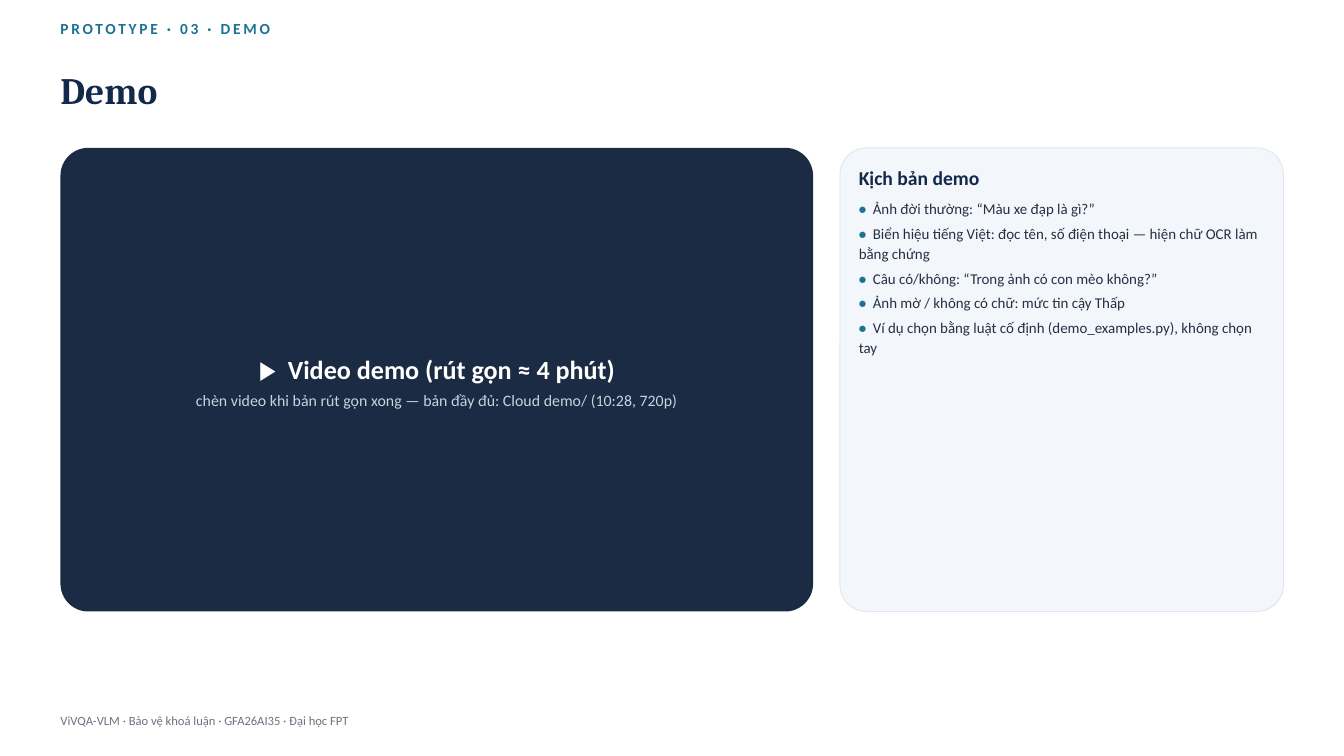
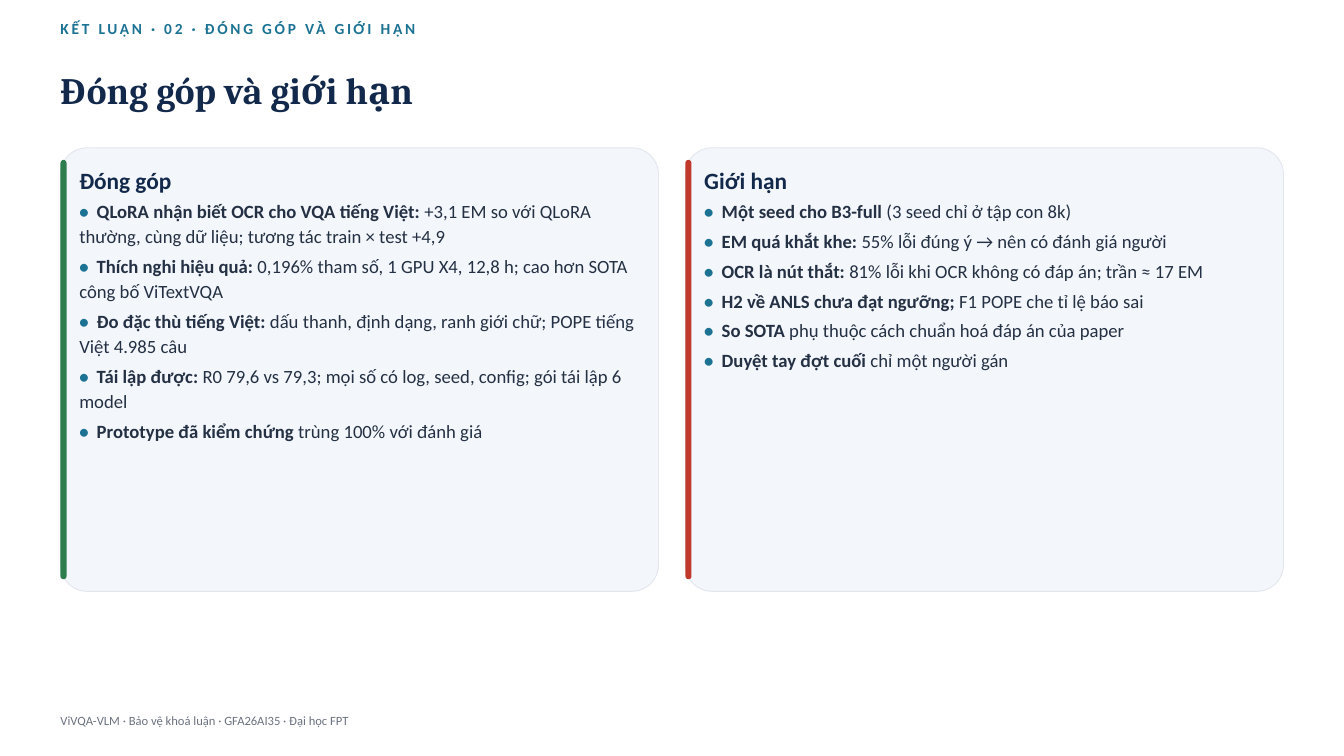
from lxml.etree import SubElement
from pptx import Presentation
from pptx.dml.color import RGBColor
from pptx.enum.shapes import MSO_SHAPE as SHAPE
from pptx.enum.text import MSO_ANCHOR as ANCHOR, MSO_AUTO_SIZE as AUTO, PP_ALIGN as ALIGN
from pptx.oxml.ns import qn
from pptx.util import Pt

PX = 9144  # 100 px to the inch
SLIDE_W, SLIDE_H = 2000, 1125
MARGIN, TOP, GAP = 90, 220, 40
CONTENT_W = SLIDE_W - 2 * MARGIN
PAD = 28

NAVY, TEAL, INK, GREY = "13294B", "1C7293", "243044", "6B7280"
WHITE, PANEL, EDGE = "FFFFFF", "F3F6FA", "E2E7EE"
SCREEN, MIST, GREEN, RED = "1B2B44", "C9D3DD", "2E7D4F", "C0392B"

FOOTER = "ViVQA-VLM · Bảo vệ khoá luận · GFA26AI35 · Đại học FPT"

DEMO = {
    "kicker": "PROTOTYPE · 03 · DEMO",
    "title": "Demo",
    "video": "▶  Video demo (rút gọn ≈ 4 phút)",
    "note": "chèn video khi bản rút gọn xong — bản đầy đủ: Cloud demo/ (10:28, 720p)",
    "script_title": "Kịch bản demo",
    "script": [
        ("", "Ảnh đời thường: “Màu xe đạp là gì?”"),
        ("", "Biển hiệu tiếng Việt: đọc tên, số điện thoại — hiện chữ OCR làm bằng chứng"),
        ("", "Câu có/không: “Trong ảnh có con mèo không?”"),
        ("", "Ảnh mờ / không có chữ: mức tin cậy Thấp"),
        ("", "Ví dụ chọn bằng luật cố định (demo_examples.py), không chọn tay"),
    ],
}

CONCLUSION = {
    "kicker": "KẾT LUẬN · 02 · ĐÓNG GÓP VÀ GIỚI HẠN",
    "title": "Đóng góp và giới hạn",
    "cards": [
        ("Đóng góp", GREEN, [
            ("QLoRA nhận biết OCR cho VQA tiếng Việt: ",
             "+3,1 EM so với QLoRA thường, cùng dữ liệu; tương tác train × test +4,9"),
            ("Thích nghi hiệu quả: ",
             "0,196% tham số, 1 GPU X4, 12,8 h; cao hơn SOTA công bố ViTextVQA"),
            ("Đo đặc thù tiếng Việt: ",
             "dấu thanh, định dạng, ranh giới chữ; POPE tiếng Việt 4.985 câu"),
            ("Tái lập được: ",
             "R0 79,6 vs 79,3; mọi số có log, seed, config; gói tái lập 6 model"),
            ("Prototype đã kiểm chứng ", "trùng 100% với đánh giá"),
        ]),
        ("Giới hạn", RED, [
            ("Một seed cho B3-full ", "(3 seed chỉ ở tập con 8k)"),
            ("EM quá khắt khe: ", "55% lỗi đúng ý → nên có đánh giá người"),
            ("OCR là nút thắt: ", "81% lỗi khi OCR không có đáp án; trần ≈ 17 EM"),
            ("H2 về ANLS chưa đạt ngưỡng; ", "F1 POPE che tỉ lệ báo sai"),
            ("So SOTA ", "phụ thuộc cách chuẩn hoá đáp án của paper"),
            ("Duyệt tay đợt cuối ", "chỉ một người gán"),
        ]),
    ],
}


def rgb(color):
    return RGBColor.from_string(color)


def emu(*lengths):
    return [n * PX for n in lengths]


def fmt(size, color, bold=False, name="Calibri"):
    return {"size": Pt(size), "color": color, "bold": bold, "name": name}


def add_run(p, text, style):
    r = p.add_run()
    r.text = text
    for key, value in style.items():
        if key == "color":
            r.font.color.rgb = rgb(value)
        else:
            setattr(r.font, key, value)
    return r


def add_text(slide, box, paragraphs, leading=1.12, after=4, align=None, anchor=ANCHOR.TOP, tab=None):
    """Each paragraph is a list of (text, style) runs."""
    tf = slide.shapes.add_textbox(*emu(*box)).text_frame
    frame = {"word_wrap": True, "auto_size": AUTO.SHAPE_TO_FIT_TEXT, "vertical_anchor": anchor,
             "margin_left": 0, "margin_right": 0, "margin_top": 0, "margin_bottom": 0}
    for key, value in frame.items():
        setattr(tf, key, value)
    for i, runs in enumerate(paragraphs):
        p = tf.paragraphs[0] if i == 0 else tf.add_paragraph()
        p.line_spacing, p.space_after, p.alignment = leading, Pt(after), align
        if tab:
            stops = SubElement(p._p.get_or_add_pPr(), qn("a:tabLst"))
            SubElement(stops, qn("a:tab"), pos=str(tab * PX), algn="l")
        for text, style in runs:
            add_run(p, text, style)
    return tf


def add_round(slide, box, fill, line=None, adj=0.06):
    sp = slide.shapes.add_shape(SHAPE.ROUNDED_RECTANGLE, *emu(*box))
    sp.shadow.inherit = False
    sp.adjustments[0] = adj
    sp.fill.solid()
    sp.fill.fore_color.rgb = rgb(fill)
    if line:
        sp.line.color.rgb = rgb(line)
        sp.line.width = Pt(1)
    else:
        sp.line.fill.background()


def add_card(slide, x, w, h, title, items, size, accent=None):
    add_round(slide, (x, TOP, w, h), PANEL, EDGE)
    if accent:
        add_round(slide, (x, TOP + 18, 9, h - 36), accent, adj=0.5)
    left, inner = x + PAD, w - 2 * PAD
    add_text(slide, (left, TOP + 22, inner, 60), [[(title, fmt(size + 5, NAVY, True))]])
    paragraphs = [
        [("•\t", fmt(size, TEAL, True))]
        + ([(lead, fmt(size, INK, True))] if lead else [])
        + [(text, fmt(size, INK))]
        for lead, text in items
    ]
    add_text(slide, (left, TOP + 74, inner, h - 84), paragraphs, after=5, tab=round(size * 1.32))


def add_page(prs, content):
    """Blank slide with the shared kicker, title and footer."""
    slide = prs.slides.add_slide(prs.slide_layouts[6])
    slide.background.fill.solid()
    slide.background.fill.fore_color.rgb = rgb(WHITE)
    kicker = add_text(slide, (MARGIN, 29, CONTENT_W, 64),
                      [[(content["kicker"], fmt(16.5, TEAL, True))]], Pt(19.8), 0)
    kicker.paragraphs[0].runs[0].font._element.set("spc", "300")
    add_text(slide, (MARGIN, 87, CONTENT_W, 111),
             [[(content["title"], fmt(40, NAVY, True, "Cambria"))]], Pt(57.6), 0)
    add_text(slide, (MARGIN, 1058, 1500, 40), [[(FOOTER, fmt(13.5, GREY))]])
    return slide


def build_demo(prs):
    slide = add_page(prs, DEMO)
    video_w, h = 1120, 690
    screen = (MARGIN, TOP, video_w, h)
    add_round(slide, screen, SCREEN)
    add_text(slide, screen, [[(DEMO["video"], fmt(28, WHITE, True))], [(DEMO["note"], fmt(17, MIST))]],
             align=ALIGN.CENTER, anchor=ANCHOR.MIDDLE)
    add_card(slide, MARGIN + video_w + GAP, CONTENT_W - video_w - GAP, h,
             DEMO["script_title"], DEMO["script"], 16)


def build_conclusion(prs):
    slide = add_page(prs, CONCLUSION)
    cards = CONCLUSION["cards"]
    w = (CONTENT_W - GAP * (len(cards) - 1)) // len(cards)
    for i, (title, accent, items) in enumerate(cards):
        add_card(slide, MARGIN + i * (w + GAP), w, 660, title, items, 20, accent)


def main():
    prs = Presentation()
    prs.slide_width, prs.slide_height = emu(SLIDE_W, SLIDE_H)
    build_demo(prs)
    build_conclusion(prs)
    prs.save("out.pptx")


if __name__ == "__main__":
    main()
